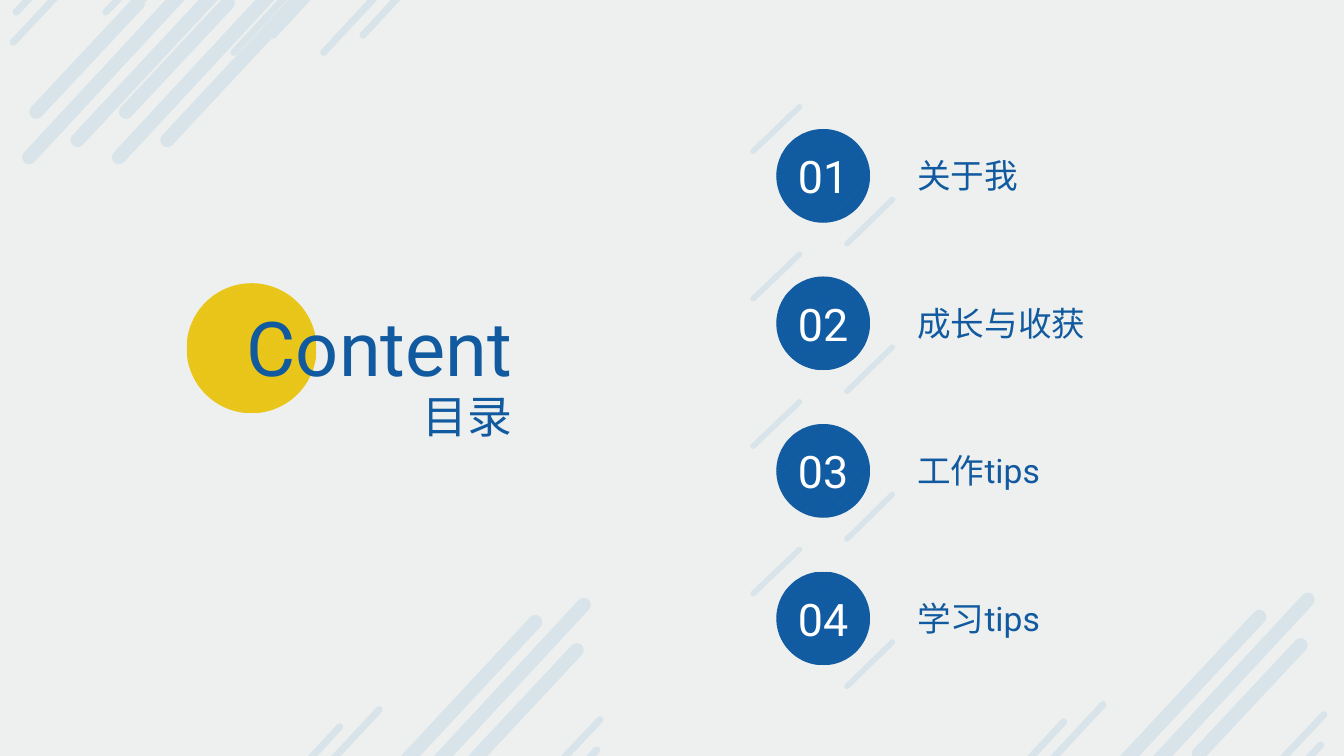
"""Build the contents slide with four numbered topics and diagonal stroke clusters."""
from dataclasses import dataclass

from lxml.etree import SubElement
from pptx import Presentation
from pptx.dml.color import RGBColor
from pptx.enum.dml import MSO_PATTERN
from pptx.enum.shapes import MSO_CONNECTOR, MSO_SHAPE
from pptx.enum.text import MSO_ANCHOR, MSO_AUTO_SIZE, PP_ALIGN
from pptx.oxml.ns import qn
from pptx.util import Inches, Pt


@dataclass(frozen=True)
class Theme:
    font: str = "Roboto"
    background: str = "EEF0EF"
    stroke: str = "D8E4E9"
    blue: str = "115A9F"
    blue_hatch: str = "1366B1"
    yellow: str = "E9C517"
    yellow_hatch: str = "EBCB2D"
    white: str = "FFFFFF"
    title_size: int = 54
    subtitle_size: int = 32
    number_size: int = 32
    topic_size: int = 24
    thin: int = 5
    thick: int = 10
    dash: int = 4


theme = Theme()

HEADINGS = [
    ("目录", (4.09, 3.81, 1.1, 0.64), theme.subtitle_size),
    ("Content", (2.35, 2.94, 2.87, 1.01), theme.title_size),
]
TOPICS = [("关于我", 1.2), ("成长与收获", 1.87), ("工作tips", 1.43), ("学习tips", 1.43)]

CLUSTER = [
    (12.68, 7.57, 13.13, 7.09, theme.thin),
    (12.92, 7.58, 13.1, 7.39, theme.thin),
    (11.13, 7.58, 12.49, 6.12, theme.thick),
    (11.06, 8.01, 12.97, 5.95, theme.thick),
    (11.89, 7.48, 12.9, 6.4, theme.thick),
    (10.55, 7.16, 10.19, 7.55, theme.thin),
    (10.94, 6.99, 10.42, 7.55, theme.thin),
]
CLUSTER_PLACES = [(0, 0, 1), (-7.18, 0.05, 1), (13.26, 7.51, -1), (14.15, 7.51, -1)]

BADGE_LEFT, BADGE_SIZE = 7.7, 0.93
FIRST_TOP, LAST_TOP = 1.28, 5.67
BADGE_DASHES = [(-0.23, 0.22, 0.23, -0.22), (0.7, 1.14, 1.15, 0.7)]
TOPIC_LEFT, TOPIC_DROP, TOPIC_HEIGHT = 9, 0.21, 0.5


def color(value):
    return RGBColor.from_string(value)


def add_stroke(slide, start_x, start_y, end_x, end_y, width):
    ends = [Inches(value) for value in (start_x, start_y, end_x, end_y)]
    connector = slide.shapes.add_connector(MSO_CONNECTOR.STRAIGHT, *ends)
    connector.line.color.rgb = color(theme.stroke)
    connector.line.width = Pt(width)
    properties = connector._element.spPr
    properties.find(qn("a:ln")).set("cap", "rnd")
    SubElement(properties, qn("a:effectLst"))


def add_disc(slide, left, top, size, base, hatch):
    shape = slide.shapes.add_shape(
        MSO_SHAPE.OVAL, Inches(left), Inches(top), Inches(size), Inches(size))
    shape.shadow.inherit = False
    shape.line.fill.background()
    shape.fill.patterned()
    shape.fill.pattern = MSO_PATTERN.LIGHT_UPWARD_DIAGONAL
    shape.fill.fore_color.rgb = color(hatch)
    shape.fill.back_color.rgb = color(base)
    return shape


def write(shape, text, size, text_color):
    frame = shape.text_frame
    frame.text = text
    frame.word_wrap = False
    font = frame.paragraphs[0].runs[0].font
    font.name, font.size = theme.font, Pt(size)
    font.color.rgb = color(text_color)
    return frame


def add_label(slide, text, box, size):
    shape = slide.shapes.add_textbox(*[Inches(value) for value in box])
    frame = write(shape, text, size, theme.blue)
    frame.auto_size = MSO_AUTO_SIZE.SHAPE_TO_FIT_TEXT


def add_topic(slide, number, topic, width, top):
    for start_x, start_y, end_x, end_y in BADGE_DASHES:
        add_stroke(slide, BADGE_LEFT + start_x, top + start_y,
                   BADGE_LEFT + end_x, top + end_y, theme.dash)
    badge = add_disc(slide, BADGE_LEFT, top, BADGE_SIZE, theme.blue, theme.blue_hatch)
    frame = write(badge, f"{number:02d}", theme.number_size, theme.white)
    frame.vertical_anchor = MSO_ANCHOR.MIDDLE
    frame.paragraphs[0].alignment = PP_ALIGN.CENTER
    add_label(slide, topic, (TOPIC_LEFT, top + TOPIC_DROP, width, TOPIC_HEIGHT),
              theme.topic_size)


presentation = Presentation()
presentation.slide_width, presentation.slide_height = Inches(13.33), Inches(7.5)
slide = presentation.slides.add_slide(presentation.slide_layouts[6])
slide.background.fill.solid()
slide.background.fill.fore_color.rgb = color(theme.background)

for offset_x, offset_y, direction in CLUSTER_PLACES:
    for start_x, start_y, end_x, end_y, width in CLUSTER:
        add_stroke(slide, offset_x + direction * start_x, offset_y + direction * start_y,
                   offset_x + direction * end_x, offset_y + direction * end_y, width)

add_disc(slide, 1.85, 2.81, 1.29, theme.yellow, theme.yellow_hatch)
for text, box, size in HEADINGS:
    add_label(slide, text, box, size)

pitch = (LAST_TOP - FIRST_TOP) / (len(TOPICS) - 1)
for index, (topic, width) in enumerate(TOPICS):
    add_topic(slide, index + 1, topic, width, FIRST_TOP + index * pitch)

presentation.save("out.pptx")
